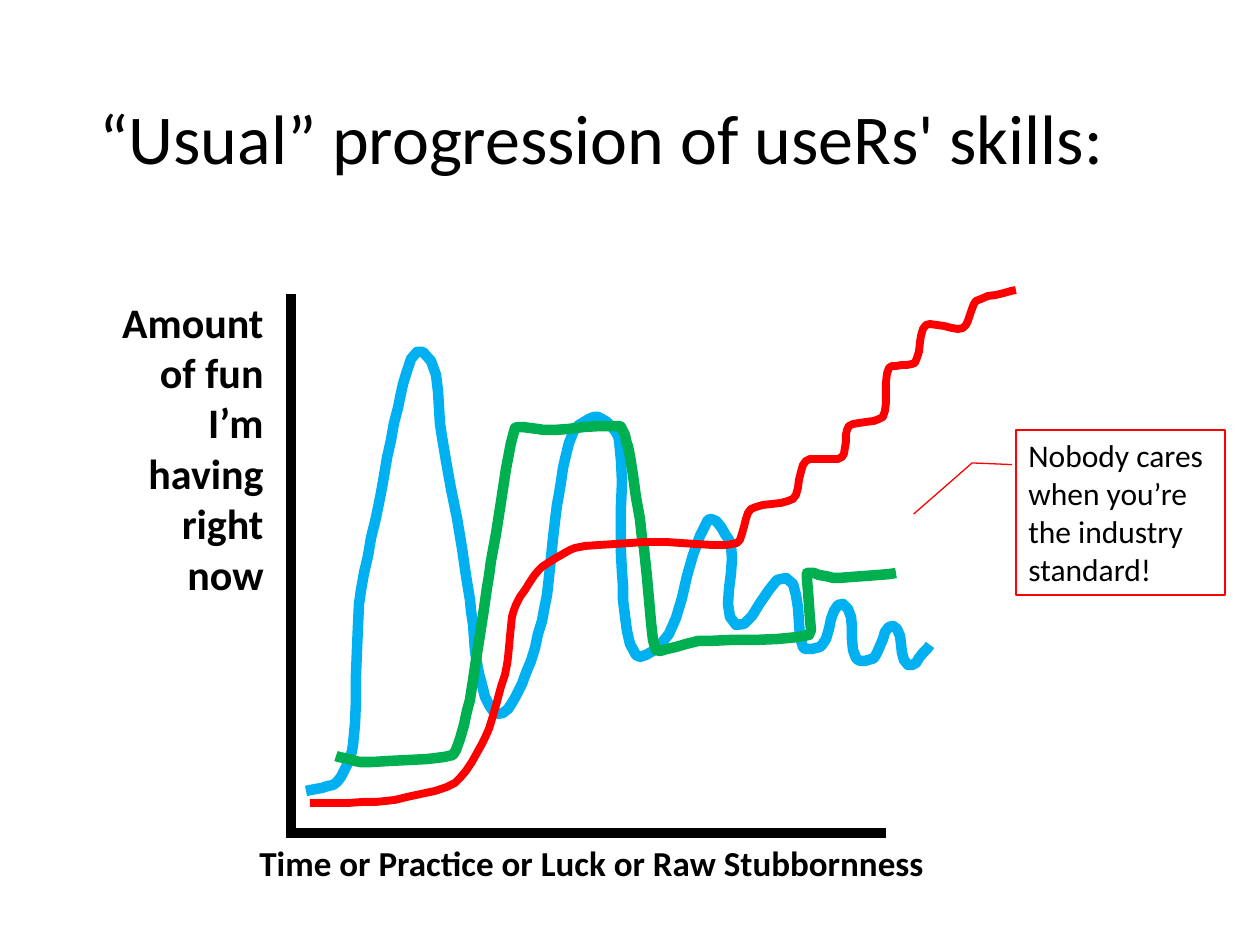
import math

import pptx
import pptx.util
import pptx.dml.color
import pptx.enum.shapes
import pptx.enum.text
import pptx.oxml.ns
import lxml.etree

PX = 914400 / 126
STEPS = 6
ALIGN = pptx.enum.text.PP_ALIGN
ANCHOR = pptx.enum.text.MSO_ANCHOR
FIT = pptx.enum.text.MSO_AUTO_SIZE

THEME = {
    "font": "Calibri",
    "ink": "000000",
    "blue": "00B0F0",
    "green": "00B050",
    "red": "FF0000",
    "title": 40,
    "y_label": 24,
    "x_label": 20,
    "callout": 18,
    "thick": 6,
    "medium": 4.5,
    "hairline": 0.75,
}

TITLE = ("“Usual” progression of useRs' skills:", (87, 50, 1086, 183))
X_LABEL = ("Time or Practice or Luck or Raw Stubbornness", (247, 835, 723, 55))
Y_LABEL = ("Amount of fun I’m having right now", (102, 290, 174, 318))
CALLOUT = ("Nobody cares when you’re the industry standard!", (1016, 430, 209, 165))
CALLOUT_LEADER = (0.21, -0.02, 0.2, -0.21, 0.51, -0.49)

AXES = [((291, 294), (291, 838)), ((886, 833), (291, 833))]

BLUE_CURVE = [
    (306, 791), (337, 782), (353, 745), (359, 604), (378, 508), (398, 408),
    (423, 352), (442, 437), (470, 600), (479, 674), (498, 714), (522, 684),
    (544, 610), (557, 505), (573, 433), (598, 417), (619, 440), (622, 573),
    (636, 655), (669, 634), (708, 520), (731, 546), (736, 625), (786, 578),
    (803, 647), (822, 645), (843, 604), (856, 658), (874, 658), (893, 626),
    (908, 665), (930, 645),
]

GREEN_CURVE = [
    (336, 756), (363, 762), (453, 755), (471, 693), (489, 576), (515, 428),
    (547, 430), (620, 426), (628, 446), (644, 548), (656, 650), (698, 641),
    (809, 635), (807, 573), (833, 578), (896, 573),
]

RED_CURVE = [
    (310, 803), (386, 801), (455, 783), (485, 738), (507, 665), (514, 610),
    (538, 571), (575, 548), (655, 542), (737, 543), (751, 509), (793, 499),
    (806, 461), (842, 457), (849, 426), (883, 417), (889, 368), (915, 363),
    (926, 325), (963, 328), (976, 301), (1016, 290),
]

CURVES = [
    (BLUE_CURVE, "blue", "thick", 0.8),
    (GREEN_CURVE, "green", "thick", 0.3),
    (RED_CURVE, "red", "medium", 0.6),
]


def emu(lengths):
    return [round(length * PX) for length in lengths]


def color(name):
    return pptx.dml.color.RGBColor.from_string(THEME[name])


def set_line(shape, name, width):
    shape.line.color.rgb = color(name)
    shape.line.width = pptx.util.Pt(THEME[width])


def write(shape, words, size, bold=False, align=ALIGN.LEFT, anchor=ANCHOR.TOP,
          fit=FIT.SHAPE_TO_FIT_TEXT):
    frame = shape.text_frame
    frame.word_wrap = True
    frame.auto_size = fit
    frame.vertical_anchor = anchor
    para = frame.paragraphs[0]
    para.alignment = align
    span = para.add_run()
    span.text = words
    span.font.name = THEME["font"]
    span.font.size = pptx.util.Pt(THEME[size])
    span.font.bold = bold
    span.font.color.rgb = color("ink")
    return para


def add_title(page, words, frame):
    box = page.shapes.title
    box.left, box.top, box.width, box.height = emu(frame)
    para = write(box, words, "title", anchor=ANCHOR.MIDDLE, fit=FIT.NONE)
    para.line_spacing = 0.9


def add_label(page, words, frame, size, align):
    box = page.shapes.add_textbox(*emu(frame))
    write(box, words, size, bold=True, align=align)


def add_axis(page, start, end):
    axis = page.shapes.add_connector(
        pptx.enum.shapes.MSO_CONNECTOR.STRAIGHT, *emu(start + end))
    set_line(axis, "ink", "thick")
    lxml.etree.SubElement(axis._element.spPr, pptx.oxml.ns.qn("a:effectLst"))


def add_callout(page, words, frame):
    callout = page.shapes.add_shape(
        pptx.enum.shapes.MSO_SHAPE.LINE_CALLOUT_2, *emu(frame))
    for index, value in enumerate(CALLOUT_LEADER):
        callout.adjustments[index] = value
    callout.shadow.inherit = False
    callout.fill.background()
    set_line(callout, "red", "hairline")
    write(callout, words, "callout")


def smooth(knots, roundness):
    padded = [knots[0]] + knots + [knots[-1]]
    headings = []
    for before, after in zip(padded, padded[2:]):
        reach = math.dist(before, after)
        headings.append([(b - a) / reach for a, b in zip(before, after)])
    points = [knots[0]]
    for index, (start, end) in enumerate(zip(knots, knots[1:])):
        pull = roundness * math.dist(start, end)
        for step in range(1, STEPS + 1):
            t = step / STEPS
            ease = t * t * (3 - 2 * t)
            leave = pull * t * (1 - t) ** 2
            arrive = pull * t * t * (1 - t)
            points.append(tuple(
                a + (b - a) * ease + leave * u - arrive * v
                for a, b, u, v in zip(start, end, headings[index], headings[index + 1])))
    return points


def add_curve(page, knots, name, width, roundness):
    points = smooth(knots, roundness)
    builder = page.shapes.build_freeform(*points[0], scale=PX)
    builder.add_line_segments(points[1:], close=False)
    curve = builder.convert_to_shape()
    curve.shadow.inherit = False
    curve.fill.background()
    set_line(curve, name, width)


def main():
    deck = pptx.Presentation()
    deck.slide_width, deck.slide_height = emu((1260, 945))
    page = deck.slides.add_slide(deck.slide_layouts[5])
    add_title(page, *TITLE)
    for start, end in AXES:
        add_axis(page, start, end)
    add_label(page, *X_LABEL, "x_label", ALIGN.LEFT)
    add_callout(page, *CALLOUT)
    add_label(page, *Y_LABEL, "y_label", ALIGN.RIGHT)
    for curve in CURVES:
        add_curve(page, *curve)
    deck.save("out.pptx")


if __name__ == "__main__":
    main()
